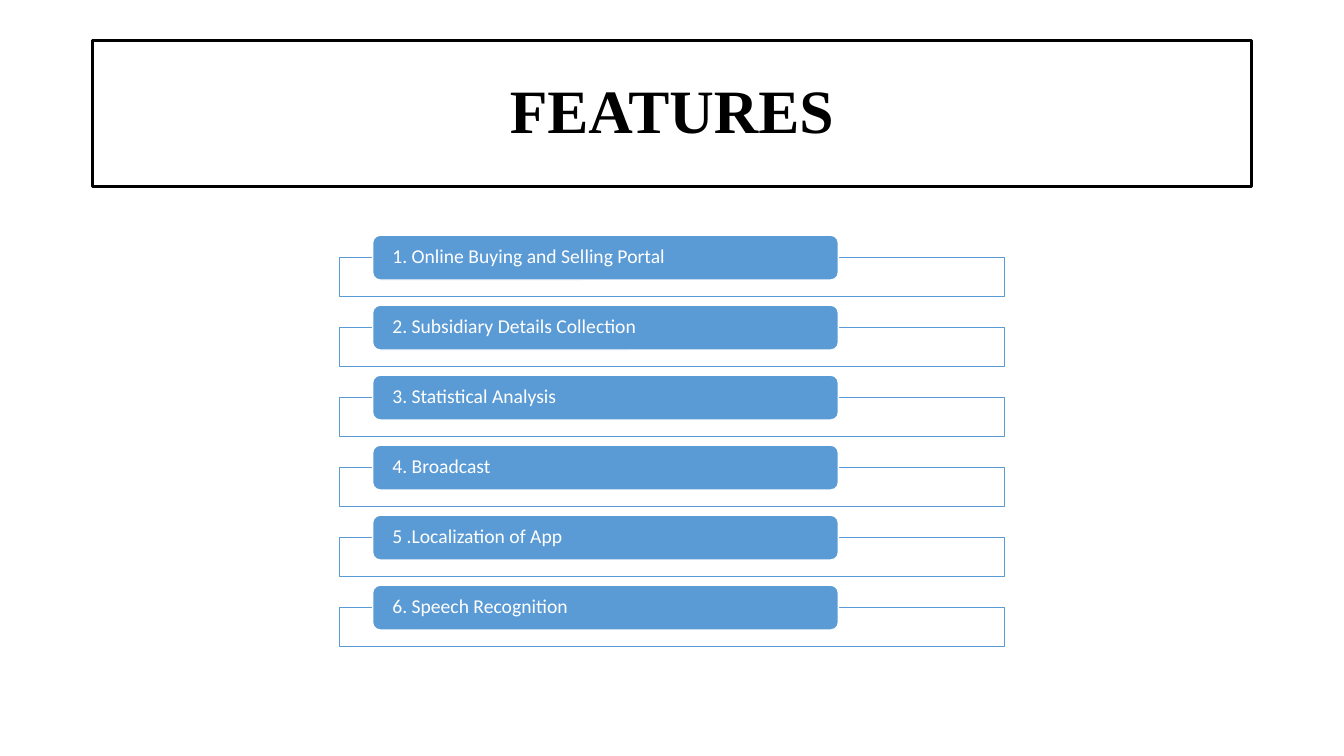
from pptx import Presentation
from pptx.dml.color import RGBColor
from pptx.enum.shapes import MSO_SHAPE as Shape
from pptx.enum.text import MSO_ANCHOR as Anchor, PP_ALIGN as Align
from pptx.util import Pt

COLORS = {"black": "000000", "white": "FFFFFF", "blue": "5B9BD5"}
FEATURES = [
    "1. Online Buying and Selling Portal",
    "2. Subsidiary Details Collection",
    "3. Statistical Analysis",
    "4. Broadcast",
    "5 .Localization of App",
    "6. Speech Recognition",
]


def color(name):
    return RGBColor.from_string(COLORS[name])


def add_box(page, kind, box, fill, line, weight):
    """Add a flat shape; box is left, top, width, height in points."""
    shape = page.shapes.add_shape(kind, *map(Pt, box))
    shape.shadow.inherit = False
    if fill:
        shape.fill.solid()
        shape.fill.fore_color.rgb = color(fill)
    else:
        shape.fill.background()
    shape.line.color.rgb = color(line)
    shape.line.width = Pt(weight)
    return shape


def write(shape, text, font, size, ink, align, bold=False):
    frame = shape.text_frame
    frame.word_wrap = True
    frame.vertical_anchor = Anchor.MIDDLE
    para = frame.paragraphs[0]
    para.alignment = align
    para.line_spacing = 0.9
    span = para.add_run()
    span.text = text
    span.font.name = font
    span.font.size = Pt(size)
    span.font.bold = bold
    span.font.color.rgb = color(ink)


def add_title(page, box, text):
    title = add_box(page, Shape.RECTANGLE, box, None, "black", 2.25)
    write(title, text, "Times New Roman", 44, "black", Align.CENTER, bold=True)


def add_feature(page, box, text):
    """Draw an outlined frame with a label overlapping its top edge."""
    left, top, width, height = box
    label_height = 32
    frame_top = top + label_height / 2
    frame_box = (left, frame_top, width, top + height - frame_top)
    add_box(page, Shape.RECTANGLE, frame_box, "white", "blue", 1)
    label_box = (left + width * 0.05, top, width * 0.7, label_height)
    label = add_box(page, Shape.ROUNDED_RECTANGLE, label_box, "blue", "white", 1)
    frame = label.text_frame
    frame.margin_left = frame.margin_right = Pt(12.5)
    frame.margin_top = frame.margin_bottom = 0
    write(label, text, "Calibri", 14, "white", Align.LEFT)


def add_feature_list(page, box, features):
    left, top, width, height = box
    gap = 6
    pitch = (height + gap) / len(features)
    for index, text in enumerate(features):
        add_feature(page, (left, top + index * pitch, width, pitch - gap), text)


def main():
    deck = Presentation()
    deck.slide_width, deck.slide_height = Pt(960), Pt(540)
    page = deck.slides.add_slide(deck.slide_layouts[6])
    add_title(page, (66, 28.75, 828, 104.4), "FEATURES")
    add_feature_list(page, (242.4, 168, 475.2, 294), FEATURES)
    deck.save("out.pptx")


if __name__ == "__main__":
    main()
